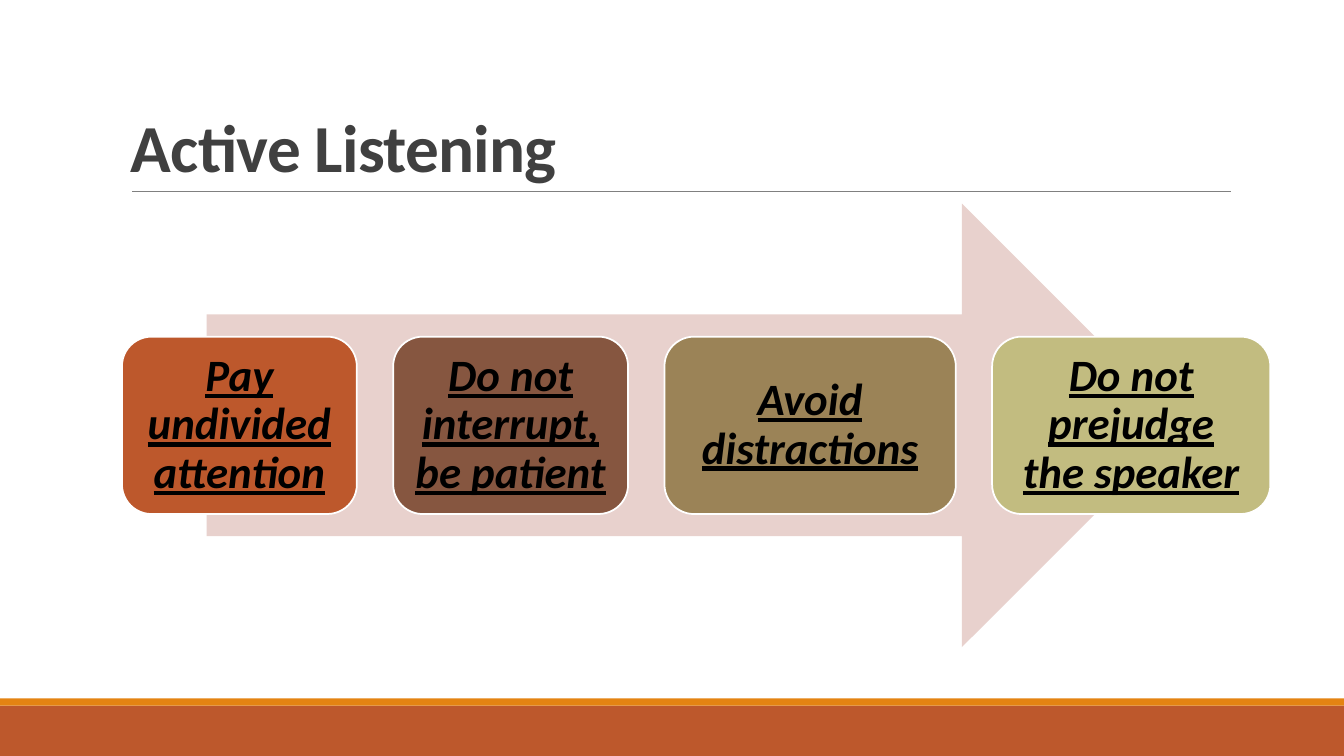
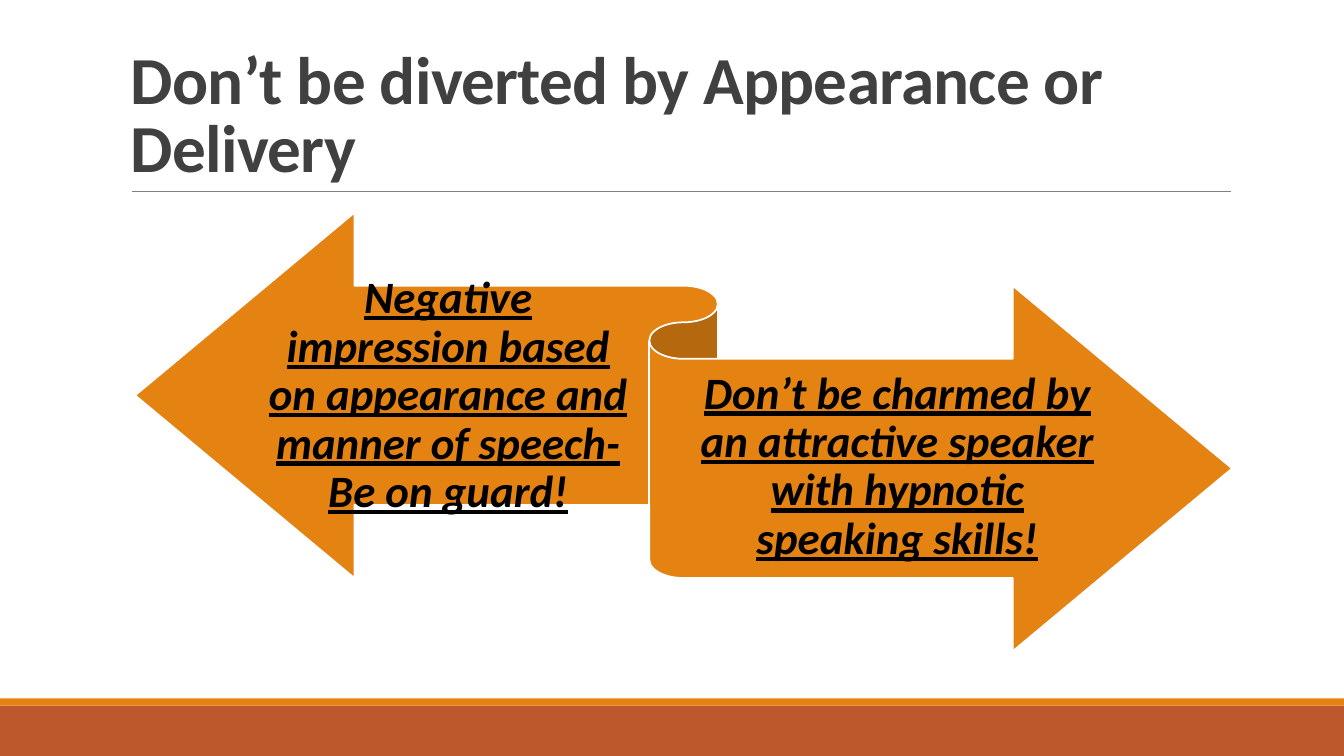
from lxml import etree
from pptx import Presentation
from pptx.dml.color import RGBColor
from pptx.enum.shapes import MSO_CONNECTOR, MSO_SHAPE
from pptx.enum.text import MSO_ANCHOR, PP_ALIGN
from pptx.oxml.ns import qn
from pptx.util import Inches, Pt

RECT = MSO_SHAPE.RECTANGLE
ROUND = MSO_SHAPE.ROUNDED_RECTANGLE
ARROW = MSO_SHAPE.RIGHT_ARROW
RIBBON = MSO_SHAPE.LEFT_RIGHT_RIBBON
STRAIGHT = MSO_CONNECTOR.STRAIGHT
LEFT, CENTER = PP_ALIGN.LEFT, PP_ALIGN.CENTER
MIDDLE, BOTTOM = MSO_ANCHOR.MIDDLE, MSO_ANCHOR.BOTTOM

RUST = RGBColor(0xBD, 0x58, 0x2C)
ORANGE = RGBColor(0xE4, 0x83, 0x12)
BROWN = RGBColor(0x86, 0x56, 0x40)
TAN = RGBColor(0x9B, 0x83, 0x57)
OLIVE = RGBColor(0xC2, 0xBC, 0x80)
PINK = RGBColor(0xE8, 0xD1, 0xCD)
GRAY = RGBColor(0x80, 0x80, 0x80)
DARK = RGBColor(0x40, 0x40, 0x40)
BLACK = RGBColor(0, 0, 0)
WHITE = RGBColor(0xFF, 0xFF, 0xFF)

FONT = "Calibri"


class Deck:
    def __init__(self):
        self.prs = Presentation()
        self.prs.slide_width = Inches(13.33)
        self.prs.slide_height = Inches(7.5)
        self.slide = None

    def page(self, title):
        self.slide = self.prs.slides.add_slide(self.prs.slide_layouts[6])
        self.shape(RECT, (0, 7, 13.33, 0.5), RUST)
        self.shape(RECT, (0, 6.93, 13.33, 0.07), ORANGE)
        self.rule(1.31, 12.21, 1.9)
        self.title(title)

    def shape(self, kind, box, fill, edge=None):
        item = self.slide.shapes.add_shape(kind, *map(Inches, box))
        item.shadow.inherit = False
        item.fill.solid()
        item.fill.fore_color.rgb = fill
        if edge is None:
            item.line.fill.background()
        else:
            item.line.color.rgb = edge
            item.line.width = Pt(1.25)
        return item

    def rule(self, left, right, top):
        line = self.slide.shapes.add_connector(
            STRAIGHT, Inches(left), Inches(top), Inches(right), Inches(top))
        line.line.color.rgb = GRAY
        line.line.width = Pt(0.5)
        etree.SubElement(line._element.spPr, qn("a:effectLst"))

    def text(self, frame, words, pads, size, color, align, anchor, lead):
        frame.word_wrap = True
        frame.vertical_anchor = anchor
        (frame.margin_left, frame.margin_top,
         frame.margin_right, frame.margin_bottom) = map(Inches, pads)
        para = frame.paragraphs[0]
        para.alignment = align
        para.line_spacing = lead
        run = para.add_run()
        run.text = words
        run.font.name = FONT
        run.font.size = Pt(size)
        run.font.bold = True
        run.font.color.rgb = color
        return run

    def title(self, words):
        box = self.slide.shapes.add_textbox(
            *map(Inches, (1.2, 0.31, 11, 1.59)))
        run = self.text(box.text_frame, words, (0.1, 0.05, 0.1, 0.05),
                        48, DARK, LEFT, BOTTOM, 0.85)
        run._r.get_or_add_rPr().set("spc", "-50")

    def label(self, frame, words, pads):
        run = self.text(frame, words, pads, 32, BLACK, CENTER, MIDDLE, 0.9)
        run.font.italic = True
        run.font.underline = True

    def card(self, box, fill, words):
        item = self.shape(ROUND, box, fill, WHITE)
        self.label(item.text_frame, words, (0.13,) * 4)

    def note(self, box, words):
        item = self.slide.shapes.add_textbox(*map(Inches, box))
        self.label(item.text_frame, words, (0, 0.12, 0, 0.13))


def listen(deck):
    deck.page("Active Listening")
    deck.shape(ARROW, (2.05, 2.02, 9.69, 4.4), PINK)
    cards = [
        (2.33, RUST, "Pay undivided attention"),
        (2.33, BROWN, "Do not interrupt, be patient"),
        (2.89, TAN, "Avoid distractions"),
        (2.76, OLIVE, "Do not prejudge the speaker"),
    ]
    left, gap = 1.21, 0.36
    for width, fill, words in cards:
        deck.card((left, 3.34, width, 1.76), fill, words)
        left += width + gap


def divert(deck):
    deck.page("Don’t be diverted by Appearance or Delivery")
    deck.shape(RIBBON, (1.34, 2.11, 10.88, 4.35), ORANGE, WHITE)
    deck.note((2.65, 2.35, 3.59, 3.17),
              "Negative impression based on appearance and "
              "manner of speech-Be on guard!")
    deck.note((6.78, 3.37, 4.24, 2.54),
              "Don’t be charmed by an attractive speaker "
              "with hypnotic speaking skills!")


def main():
    deck = Deck()
    listen(deck)
    divert(deck)
    deck.prs.save("out.pptx")


if __name__ == "__main__":
    main()
